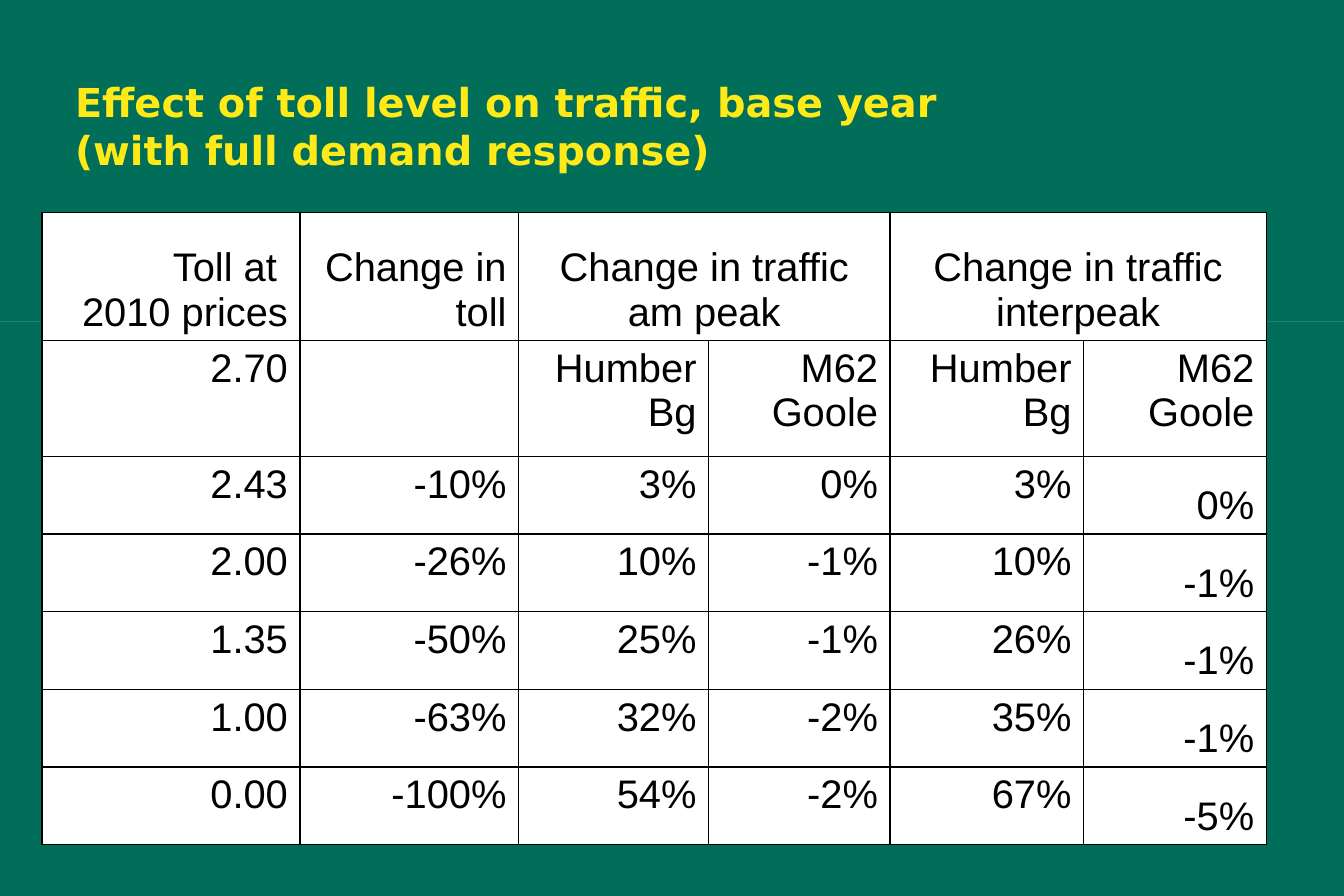
from dataclasses import dataclass

from lxml import etree
from pptx import Presentation
from pptx import util as u
from pptx.dml import color
from pptx.enum import shapes, text
from pptx.oxml import ns

SCALE = 9144
WHITE, BLACK, GREEN, GOLD = "FFFFFF", "000000", "016E59", "FFEA18"
LEFT, RIGHT, MID = text.PP_ALIGN.LEFT, text.PP_ALIGN.RIGHT, text.PP_ALIGN.CENTER
TOP, BASE = text.MSO_ANCHOR.TOP, text.MSO_ANCHOR.BOTTOM


@dataclass
class Head:
    col: int
    words: str
    align: text.PP_ALIGN
    span: int = 1


HEADS = [
    Head(0, "Toll at \n2010 prices", RIGHT),
    Head(1, "Change in toll", RIGHT),
    Head(2, "Change in traffic am peak", MID, 2),
    Head(4, "Change in traffic interpeak", MID, 2),
]
ROADS = ["Humber Bg", "M62 Goole"]
TOLLS = [
    ["2.70", "", *ROADS, *ROADS],
    ["2.43", "-10%", "3%", "0%", "3%", "0%"],
    ["2.00", "-26%", "10%", "-1%", "10%", "-1%"],
    ["1.35", "-50%", "25%", "-1%", "26%", "-1%"],
    ["1.00", "-63%", "32%", "-2%", "35%", "-1%"],
    ["0.00", "-100%", "54%", "-2%", "67%", "-5%"],
]
WIDTHS = [216, 183, 159, 152, 162, 153]
HEIGHTS = [107, 97] + [65] * 5


def px(size: int) -> u.Emu:
    return u.Emu(size * SCALE)


def rgb(code: str) -> color.RGBColor:
    return color.RGBColor.from_string(code)


def paint(fill, code: str) -> None:
    fill.solid()
    fill.fore_color.rgb = rgb(code)


def write(frame, words: str, face: str, code: str, align: text.PP_ALIGN, bold: bool = False) -> None:
    frame.text = words
    for para in frame.paragraphs:
        para.alignment = align
        font = para.font
        font.name, font.size, font.bold = face, u.Pt(24), bold
        font.color.rgb = rgb(code)


def border(cell) -> None:
    props = cell._tc.get_or_add_tcPr()
    for side in ("lnL", "lnR", "lnT", "lnB"):
        line = etree.SubElement(props, ns.qn(f"a:{side}"), w=str(u.Pt(1)))
        fill = etree.SubElement(line, ns.qn("a:solidFill"))
        etree.SubElement(fill, ns.qn("a:srgbClr"), val=BLACK)


def title(slide) -> None:
    box = slide.shapes.add_textbox(px(53), px(60), px(833), px(89))
    box.text_frame.word_wrap = True
    words = "Effect of toll level on traffic, base year\v(with full demand response)"
    write(box.text_frame, words, "DejaVu Sans", GOLD, LEFT, True)


def rule(slide) -> None:
    bar = slide.shapes.add_shape(shapes.MSO_SHAPE.RECTANGLE, 0, px(269), px(1125), 0)
    bar.shadow.inherit = False
    paint(bar.fill, WHITE)
    bar.line.fill.background()


def table(slide) -> None:
    frame = slide.shapes.add_table(
        len(HEIGHTS), len(WIDTHS), px(35), px(178), px(sum(WIDTHS)), px(sum(HEIGHTS))
    )
    grid = frame.table
    grid.first_row = grid.horz_banding = False
    for col, width in zip(grid.columns, WIDTHS):
        col.width = px(width)
    for row, height in zip(grid.rows, HEIGHTS):
        row.height = px(height)
    for cell in grid.iter_cells():
        border(cell)
        paint(cell.fill, WHITE)
    for head in HEADS:
        cell = grid.cell(0, head.col)
        if head.span > 1:
            cell.merge(grid.cell(0, head.col + head.span - 1))
        cell.vertical_anchor = BASE
        write(cell.text_frame, head.words, "Arial", BLACK, head.align)
    last = len(WIDTHS) - 1
    for r, row in enumerate(TOLLS, 1):
        for c, words in enumerate(row):
            cell = grid.cell(r, c)
            cell.vertical_anchor = BASE if r > 1 and c == last else TOP
            write(cell.text_frame, words, "Arial", BLACK, RIGHT)


def main() -> None:
    deck = Presentation()
    deck.slide_width, deck.slide_height = px(1125), px(750)
    slide = deck.slides.add_slide(deck.slide_layouts[6])
    paint(slide.background.fill, GREEN)
    title(slide)
    rule(slide)
    table(slide)
    deck.save("out.pptx")


if __name__ == "__main__":
    main()
